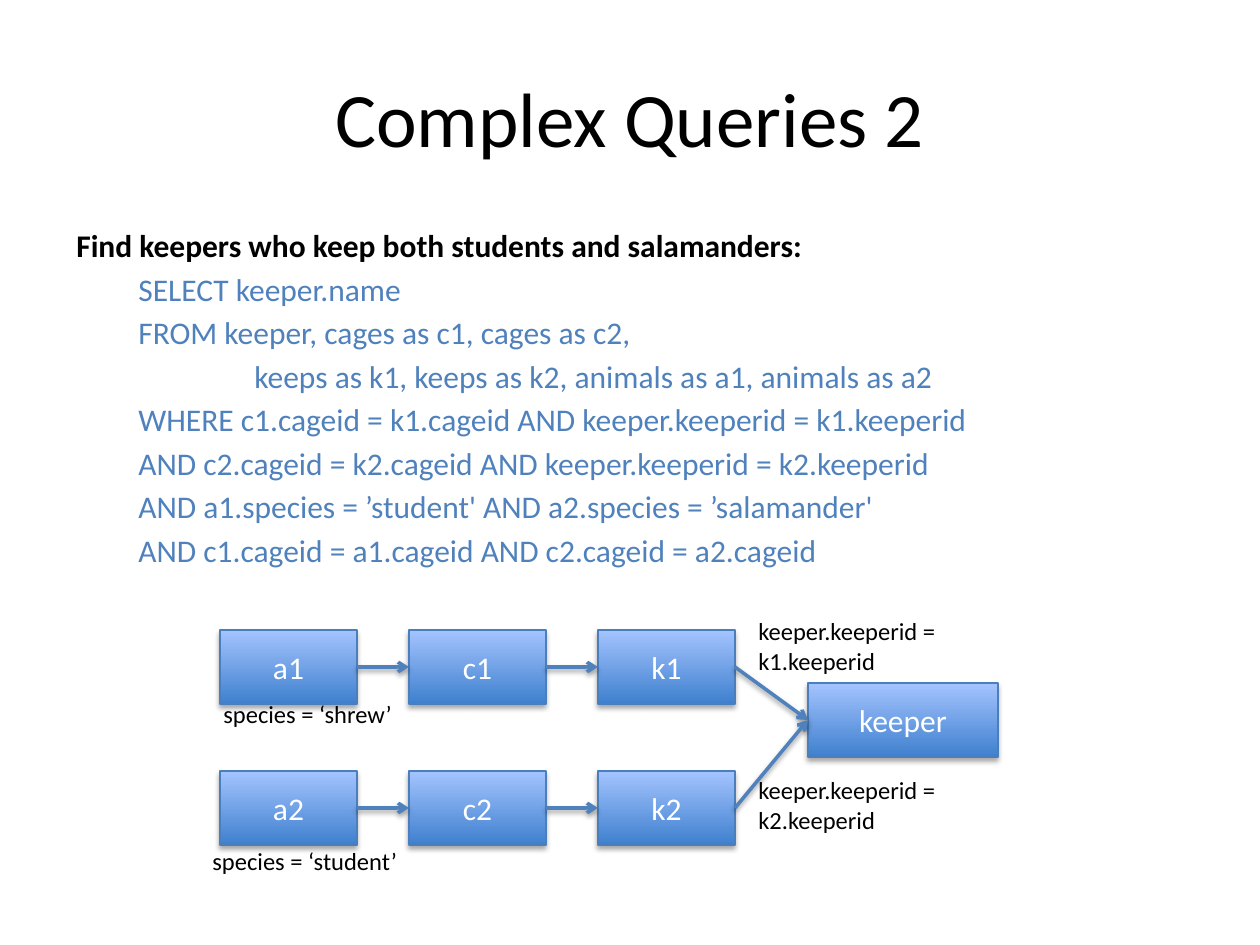
from lxml.etree import SubElement
from pptx import Presentation
from pptx.dml.color import RGBColor
from pptx.enum.shapes import MSO_CONNECTOR as Connector, MSO_SHAPE as Shape
from pptx.enum.text import MSO_ANCHOR as Anchor, MSO_AUTO_SIZE as AutoSize, PP_ALIGN as Align
from pptx.oxml.ns import qn
from pptx.util import Emu, Pt

SCALE = 914400 // 126
BLACK, WHITE, BLUE = "000000", "FFFFFF", "4F81BD"
EDGE, GRADIENT = "4B7EBC", ("3F80CE", "A4C4FF")
LEFT, PITCH, BOX_WIDTH, BOX_HEIGHT = 220, 189, 137, 74
RIGHT, LEFT_SIDE = 3, 1

QUERY = [
    ("SELECT keeper.name", 63),
    ("FROM keeper, cages as c1, cages as c2,", 63),
    ("keeps as k1, keeps as k2, animals as a1, animals as a2", 179),
    ("WHERE c1.cageid = k1.cageid AND keeper.keeperid = k1.keeperid", 63),
    ("AND c2.cageid = k2.cageid AND keeper.keeperid = k2.keeperid", 63),
    ("AND a1.species = ’student' AND a2.species = ’salamander'", 63),
    ("AND c1.cageid = a1.cageid AND c2.cageid = a2.cageid", 63),
]
CHAINS = [(630, ("a1", "c1", "k1")), (771, ("a2", "c2", "k2"))]
LABELS = [
    ("keeper.keeperid = k2.keeperid", 746, 769, 72),
    ("keeper.keeperid = k1.keeperid", 746, 610, 72),
    ("species = ‘shrew’", 211, 693, 43),
    ("species = ‘student’", 200, 840, 43),
]


def px(*lengths):
    return [Emu(length * SCALE) for length in lengths]


def color(code):
    return RGBColor.from_string(code)


def write(paragraph, text, size=18, ink=BLACK, bold=False, align=Align.LEFT, indent=0, after=0):
    paragraph.alignment = align
    paragraph.space_after = Pt(after)
    if indent:
        paragraph._p.get_or_add_pPr().set("marL", str(indent * SCALE))
    run = paragraph.add_run()
    run.text = text
    run.font.name = "Calibri"
    run.font.size = Pt(size)
    run.font.bold = bold
    run.font.color.rgb = color(ink)


def add_shadow(element, distance, opacity):
    effects = SubElement(element.spPr, qn("a:effectLst"))
    shadow = SubElement(effects, qn("a:outerShdw"), blurRad=str(Pt(3.1)),
                        dist=str(Pt(distance)), dir="5400000", rotWithShape="0")
    tint = SubElement(shadow, qn("a:srgbClr"), val=BLACK)
    SubElement(tint, qn("a:alpha"), val=str(opacity * 1000))


def add_title(slide, text):
    title = slide.shapes.title
    title.left, title.top, title.width, title.height = px(63, 38, 1134, 157)
    title.text_frame.vertical_anchor = Anchor.MIDDLE
    write(title.text_frame.paragraphs[0], text, size=44, align=Align.CENTER)


def add_query(slide, question, lines):
    frame = slide.shapes.add_textbox(*px(63, 220, 1134, 370)).text_frame
    frame.word_wrap = True
    write(frame.paragraphs[0], question, bold=True, indent=1, after=3.25)
    for text, indent in lines:
        write(frame.add_paragraph(), text, ink=BLUE, indent=indent, after=3.25)


def add_box(slide, text, left, top, width=BOX_WIDTH):
    box = slide.shapes.add_shape(Shape.RECTANGLE, *px(left, top, width, BOX_HEIGHT))
    box.fill.gradient()
    box.fill.gradient_angle = 90
    for stop, code in zip(box.fill.gradient_stops, GRADIENT):
        stop.color.rgb = color(code)
    box.line.color.rgb = color(EDGE)
    box.line.width = Pt(0.75)
    add_shadow(box._element, 1.8, 35)
    box.text_frame.vertical_anchor = Anchor.MIDDLE
    write(box.text_frame.paragraphs[0], text, ink=WHITE, align=Align.CENTER)
    return box


def add_arrow(slide, source, target):
    arrow = slide.shapes.add_connector(Connector.STRAIGHT, 0, 0, 0, 0)
    arrow.begin_connect(source, RIGHT)
    arrow.end_connect(target, LEFT_SIDE)
    arrow.line.color.rgb = color(BLUE)
    arrow.line.width = Pt(2)
    SubElement(arrow.line._get_or_add_ln(), qn("a:tailEnd"), type="arrow")
    add_shadow(arrow._element, 1.6, 38)


def add_label(slide, text, left, top, height):
    frame = slide.shapes.add_textbox(*px(left, top, 252, height)).text_frame
    frame.word_wrap = True
    frame.auto_size = AutoSize.SHAPE_TO_FIT_TEXT
    write(frame.paragraphs[0], text, size=14)


def main():
    deck = Presentation()
    deck.slide_width, deck.slide_height = px(1260, 945)
    slide = deck.slides.add_slide(deck.slide_layouts[5])
    add_title(slide, "Complex Queries 2")
    add_query(slide, "Find keepers who keep both students and salamanders:", QUERY)
    chains = [
        [add_box(slide, name, LEFT + PITCH * column, top) for column, name in enumerate(names)]
        for top, names in CHAINS
    ]
    keeper = add_box(slide, "keeper", 808, 683, width=190)
    for chain in chains:
        for source, target in zip(chain, chain[1:] + [keeper]):
            add_arrow(slide, source, target)
    for label in LABELS:
        add_label(slide, *label)
    deck.save("out.pptx")


if __name__ == "__main__":
    main()
